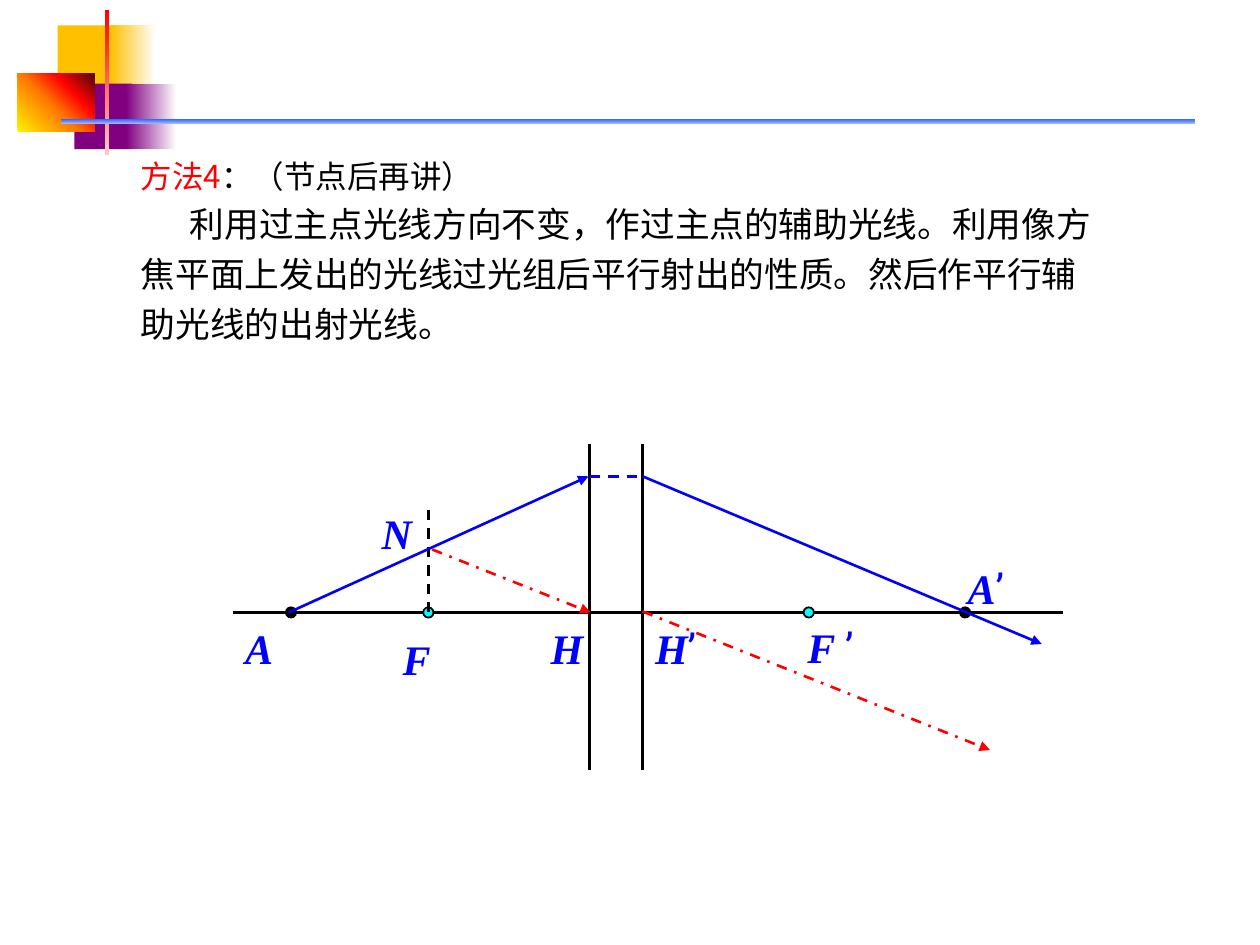
import pptx
import pptx.dml.color
import pptx.enum.dml
import pptx.enum.shapes
import pptx.enum.text
import pptx.oxml.ns
import pptx.util
from lxml import etree

Pt = pptx.util.Pt
RGBColor = pptx.dml.color.RGBColor
Dash = pptx.enum.dml.MSO_LINE
Preset = pptx.enum.shapes.MSO_SHAPE
qn = pptx.oxml.ns.qn

BLACK = RGBColor(0x00, 0x00, 0x00)
WHITE = RGBColor(0xFF, 0xFF, 0xFF)
RED = RGBColor(0xFF, 0x00, 0x00)
PINK = RGBColor(0xFF, 0xC9, 0xC9)
BLUE = RGBColor(0x00, 0x00, 0xFF)
CYAN = RGBColor(0x00, 0xFF, 0xFF)
GOLD = RGBColor(0xFF, 0xC0, 0x00)
PURPLE = RGBColor(0x80, 0x00, 0x80)
RULE_BLUE = RGBColor(0x33, 0x66, 0xFF)
RULE_PALE = RGBColor(0xA2, 0xB9, 0xFF)
YELLOW = RGBColor(0xFF, 0xF2, 0x00)
ORANGE = RGBColor(0xFF, 0x7A, 0x00)
SCARLET = RGBColor(0xFF, 0x03, 0x00)
MAROON = RGBColor(0x4D, 0x08, 0x08)

CHINESE_FONT = "Noto Sans CJK SC"
LETTER_FONT = "Times New Roman"
PRIME_FONT = "Roboto"

AXIS_Y = 350
RAY_Y = 272.2
PLANE_H, PLANE_H_PRIME = 337, 367.2
POINT_A, FOCUS, FOCUS_PRIME, POINT_A_PRIME = 166.3, 244.8, 462.2, 551.5
DOT_SIZE = 5.9


def add_block(slide, left, top, width, height, stops, clockwise_angle=0):
    block = slide.shapes.add_shape(
        Preset.RECTANGLE, Pt(left), Pt(top), Pt(width), Pt(height))
    block.shadow.inherit = False
    block.line.fill.background()
    if len(stops) == 1:
        block.fill.solid()
        block.fill.fore_color.rgb = stops[0][1]
        return
    block.fill.gradient()
    block.fill.gradient_angle = (360 - clockwise_angle) % 360
    stop_list = block._element.spPr.find(".//" + qn("a:gsLst"))
    for preset_stop in list(stop_list):
        stop_list.remove(preset_stop)
    for percent, color in stops:
        stop = etree.SubElement(stop_list, qn("a:gs"), pos=str(percent * 1000))
        etree.SubElement(stop, qn("a:srgbClr"), val=str(color))


def add_ray(slide, start, end, color, dash=None, arrow=False):
    ray = slide.shapes.add_connector(
        pptx.enum.shapes.MSO_CONNECTOR.STRAIGHT,
        Pt(start[0]), Pt(start[1]), Pt(end[0]), Pt(end[1]))
    ray.line.color.rgb = color
    ray.line.width = Pt(1.5)
    if dash:
        ray.line.dash_style = dash
    if arrow:
        etree.SubElement(ray.line._get_or_add_ln(), qn("a:tailEnd"), type="triangle")
    etree.SubElement(ray._element.spPr, qn("a:effectLst"))


def add_dot(slide, center_x, color):
    dot = slide.shapes.add_shape(
        Preset.OVAL, Pt(center_x - DOT_SIZE / 2), Pt(AXIS_Y - DOT_SIZE / 2),
        Pt(DOT_SIZE), Pt(DOT_SIZE))
    dot.shadow.inherit = False
    dot.fill.solid()
    dot.fill.fore_color.rgb = color
    dot.line.color.rgb = BLACK
    dot.line.width = Pt(1)


def add_run(paragraph, wording, color=None, east_asian_font=None):
    run = paragraph.add_run()
    run.text = wording
    if color is not None:
        run.font.color.rgb = color
    if east_asian_font:
        run.font.name = east_asian_font
        etree.SubElement(run.font._element, qn("a:ea"), typeface=east_asian_font)
    return run


def add_label(slide, left, top, letter, primed=False):
    label = slide.shapes.add_textbox(Pt(left), Pt(top), Pt(54), Pt(36))
    label.text_frame.word_wrap = True
    paragraph = label.text_frame.paragraphs[0]
    paragraph.font.size = Pt(24)
    paragraph.font.color.rgb = BLUE
    letter_run = add_run(paragraph, letter)
    for font in (paragraph.font, letter_run.font):
        font.name = LETTER_FONT
        font.size = Pt(24)
        font.bold = font.italic = True
        font.color.rgb = BLUE
    if primed:
        prime = add_run(paragraph, "’", BLUE, PRIME_FONT)
        prime.font.size = Pt(24)
        prime.font.bold = prime.font.italic = False


def add_explanation(slide):
    box = slide.shapes.add_textbox(Pt(73.4), Pt(86.4), Pt(558), Pt(109.4))
    frame = box.text_frame
    frame.word_wrap = True
    frame.vertical_anchor = pptx.enum.text.MSO_ANCHOR.MIDDLE
    heading = frame.paragraphs[0]
    body = frame.add_paragraph()
    body._p.get_or_add_pPr().set("indent", str(Pt(28)))
    contents = (
        (heading, 18, (("方法4", RED), ("：（节点后再讲）", BLACK))),
        (body, 19.8, (("利用过主点光线方向不变，作过主点的辅助光线。利用像方焦平面上发出的光线"
                       "过光组后平行射出的性质。然后作平行辅助光线的出射光线。", BLACK),)),
    )
    for paragraph, size, runs in contents:
        paragraph.line_spacing = 1.2
        paragraph.font.size = Pt(size)
        for wording, color in runs:
            run = add_run(paragraph, wording, color, CHINESE_FONT)
            run.font.size = Pt(size)


def add_decoration(slide):
    add_block(slide, 33, 14.5, 34.5, 37.5, [(0, GOLD)])
    add_block(slide, 63, 14.5, 26, 37.5, [(0, GOLD), (100, WHITE)])
    add_block(slide, 42.5, 47.8, 33, 37.5, [(0, PURPLE)])
    add_block(slide, 72, 47.8, 28.8, 37.5, [(0, PURPLE), (100, WHITE)])
    add_block(slide, 10, 41.8, 44.2, 33.5,
              [(0, YELLOW), (45, ORANGE), (70, SCARLET), (100, MAROON)], 315)
    add_block(slide, 60, 5.8, 2.4, 82.8, [(0, RED), (100, PINK)], 90)
    add_block(slide, 34.8, 68.2, 648, 2.6, [(0, RULE_BLUE), (100, RULE_PALE)], 90)


def add_ray_diagram(slide):
    add_ray(slide, (133, AXIS_Y), (607.5, AXIS_Y), BLACK)
    for plane in (PLANE_H, PLANE_H_PRIME):
        add_ray(slide, (plane, 254), (plane, 440), BLACK)
    for focus in (FOCUS, FOCUS_PRIME):
        add_dot(slide, focus, CYAN)
    for point in (POINT_A, POINT_A_PRIME):
        add_dot(slide, point, BLACK)

    add_ray(slide, (FOCUS, AXIS_Y), (FOCUS, 290.5), BLACK, Dash.DASH)
    add_ray(slide, (165, AXIS_Y), (336.3, RAY_Y), BLUE, arrow=True)
    add_ray(slide, (PLANE_H, RAY_Y), (PLANE_H_PRIME, RAY_Y), BLUE, Dash.DASH)
    add_ray(slide, (PLANE_H_PRIME, RAY_Y), (595.3, 368), BLUE, arrow=True)
    add_ray(slide, (247, 314), (337.5, AXIS_Y), RED, Dash.DASH_DOT, True)
    add_ray(slide, (PLANE_H_PRIME, 349.4), (565.7, 428.6), RED, Dash.DASH_DOT, True)

    for left, top, letter, primed in (
        (133, 352, "A", False),
        (223, 358.5, "F", False),
        (211, 286.5, "N", False),
        (307.5, 352, "H", False),
        (367.2, 352, "H", True),
        (454.3, 351.5, "F ", True),
        (545.8, 318, "A", True),
    ):
        add_label(slide, left, top, letter, primed)


def main():
    presentation = pptx.Presentation()
    presentation.slide_width = Pt(720)
    presentation.slide_height = Pt(540)
    slide = presentation.slides.add_slide(presentation.slide_layouts[6])
    add_decoration(slide)
    add_explanation(slide)
    add_ray_diagram(slide)
    presentation.save("out.pptx")


if __name__ == "__main__":
    main()
